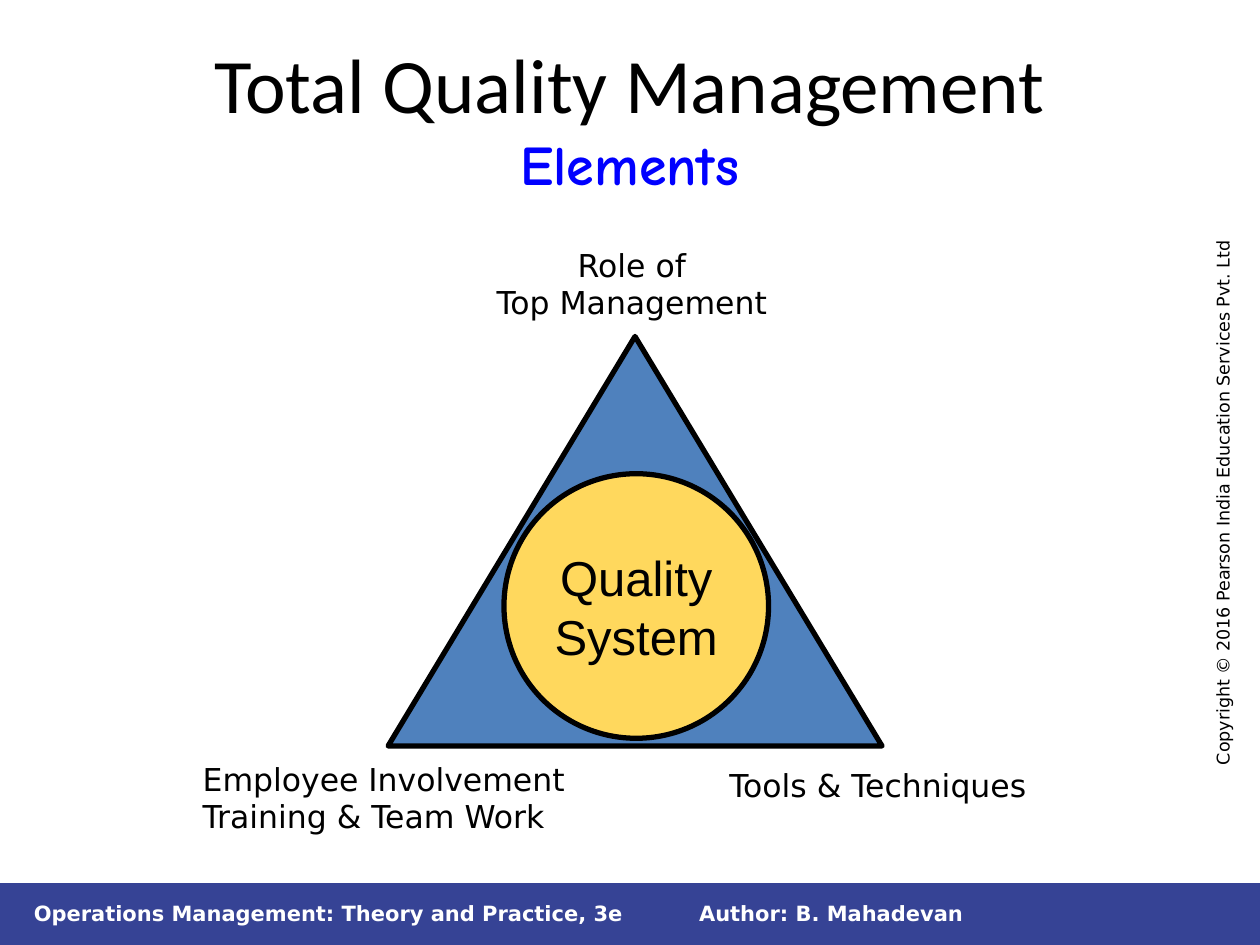
from dataclasses import dataclass

from lxml.etree import SubElement
from pptx import Presentation
from pptx.dml.color import RGBColor
from pptx.enum.shapes import MSO_SHAPE as Shape
from pptx.enum.text import MSO_ANCHOR as Anchor, MSO_AUTO_SIZE as AutoSize, PP_ALIGN as Align
from pptx.oxml.ns import qn
from pptx.util import Inches, Pt

WIDTH, HEIGHT = Inches(10), Inches(7.5)
COLUMN, ROW = WIDTH / 100, HEIGHT / 75


@dataclass(frozen=True)
class Theme:
    ink: str = "000000"
    paper: str = "FFFFFF"
    banner: str = "364395"
    triangle: str = "4F81BD"
    circle: str = "FFD85D"
    accent: str = "0000FF"
    label_font: str = "DejaVu Sans"
    title_font: str = "Calibri"
    subtitle_font: str = "Comic Neue"
    core_font: str = "Arial"
    title_size: int = 44
    subtitle_size: int = 32
    core_size: int = 28
    label_size: int = 18
    footer_size: int = 12
    copyright_size: int = 10
    outline: int = 3


THEME = Theme()


def grid(left, top, width, height):
    return [round(n * unit) for n, unit in
            zip((left, top, width, height), (COLUMN, ROW, COLUMN, ROW))]


def style(font, name, size, color, bold=False):
    font.name, font.size, font.bold = name, Pt(size), bold
    font.color.rgb = RGBColor.from_string(color)


def write(frame, lines, name, size, color=THEME.ink, bold=False, align=Align.LEFT):
    for number, line in enumerate(lines):
        para = frame.add_paragraph() if number else frame.paragraphs[0]
        para.text = line
        para.alignment = align
        style(para.font, name, size, color, bold)


def add_label(page, area, lines, size=THEME.label_size, wrap=False, anchor=Anchor.TOP, **look):
    box = page.shapes.add_textbox(*grid(*area))
    frame = box.text_frame
    frame.word_wrap = wrap
    frame.auto_size = AutoSize.SHAPE_TO_FIT_TEXT
    frame.vertical_anchor = anchor
    write(frame, lines, THEME.label_font, size, **look)
    return box


def add_figure(page, kind, area, fill, outlined=True):
    figure = page.shapes.add_shape(kind, *grid(*area))
    figure.shadow.inherit = False
    figure.fill.solid()
    figure.fill.fore_color.rgb = RGBColor.from_string(fill)
    if outlined:
        figure.line.color.rgb = RGBColor.from_string(THEME.ink)
        figure.line.width = Pt(THEME.outline)
    else:
        figure.line.fill.background()
    return figure


def add_footer(page):
    add_figure(page, Shape.RECTANGLE, (0, 70.1, 100, 5), THEME.banner, outlined=False)
    for left, width, text in (
        (54.5, 46.7, "Author: B. Mahadevan"),
        (1.7, 50, "Operations Management: Theory and Practice, 3e"),
    ):
        add_label(page, (left, 71, width, 3), [text], THEME.footer_size, wrap=True,
                  anchor=Anchor.MIDDLE, color=THEME.paper, bold=True)
    notice = add_label(page, (74.5, 37.8, 45.1, 2.7),
                       ["Copyright © 2016 Pearson India Education Services Pvt. Ltd"],
                       THEME.copyright_size, wrap=True)
    notice.rotation = 270


def fill_title(page, heading, subtitle):
    title = page.shapes.title
    title.left, title.top, title.width, title.height = grid(5, 3, 90, 12.5)
    frame = title.text_frame
    frame.vertical_anchor = Anchor.MIDDLE
    para = frame.paragraphs[0]
    para.alignment = Align.CENTER
    span = para.add_run()
    span.text = heading
    style(span.font, THEME.title_font, THEME.title_size, THEME.ink)
    para.add_line_break()
    span = para.add_run()
    span.text = subtitle
    style(span.font, THEME.subtitle_font, THEME.subtitle_size, THEME.accent, bold=True)


def add_quality_triangle(page):
    add_figure(page, Shape.ISOSCELES_TRIANGLE, (30.8, 26.7, 39.2, 32.5), THEME.triangle)
    core = add_figure(page, Shape.OVAL, (40, 37.6, 21, 21), THEME.circle)
    core.text_frame.word_wrap = False
    core.text_frame.vertical_anchor = Anchor.MIDDLE
    write(core.text_frame, ["Quality", "System"], THEME.core_font, THEME.core_size,
          align=Align.CENTER)
    add_label(page, (38.3, 19, 23.7, 7), ["Role of", "Top Management"], align=Align.CENTER)
    add_label(page, (56.9, 60.3, 26.3, 4), ["Tools & Techniques"])
    add_label(page, (15.1, 59.8, 30.9, 7), ["Employee Involvement", "Training & Team Work"])


def main():
    deck = Presentation()
    deck.slide_width, deck.slide_height = WIDTH, HEIGHT
    page = deck.slides.add_slide(deck.slide_layouts[5])
    add_footer(page)
    fill_title(page, "Total Quality Management", "Elements")
    add_quality_triangle(page)
    deck.save("out.pptx")


if __name__ == "__main__":
    main()
